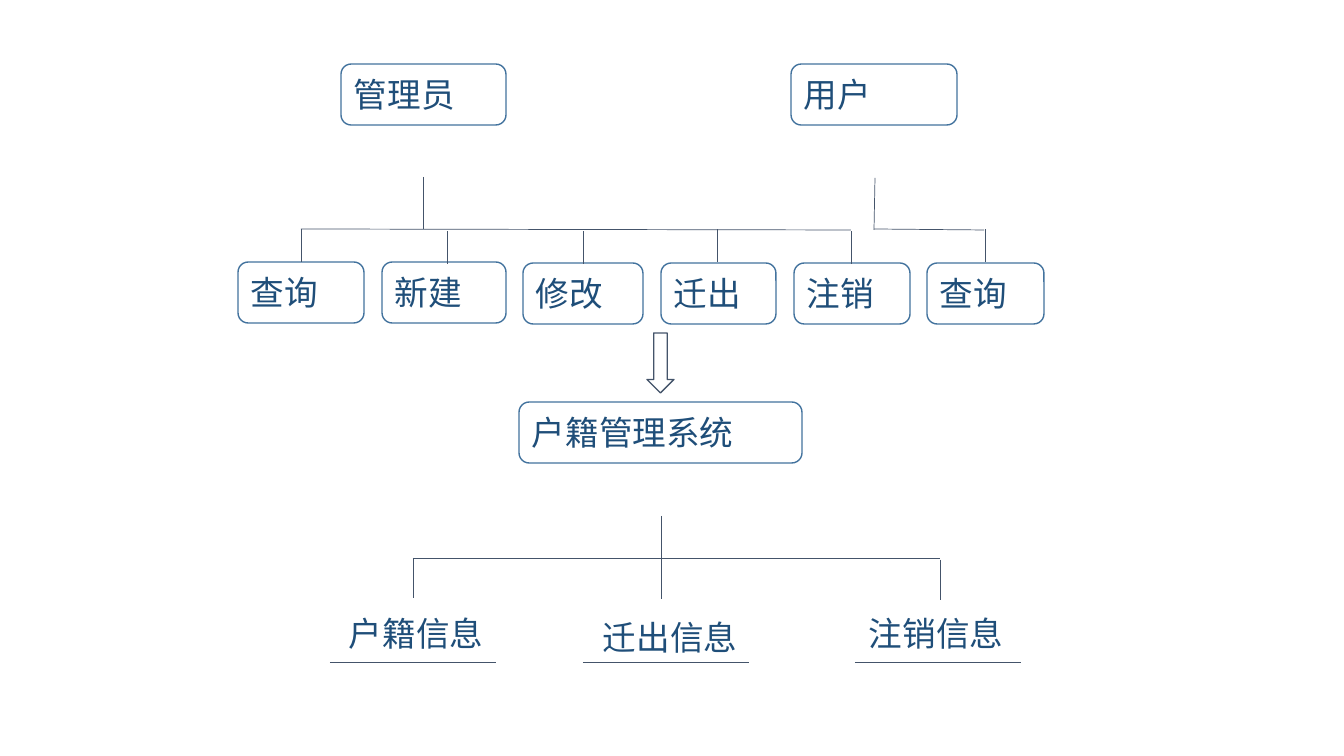
import pptx
import pptx.util
import pptx.dml.color
import pptx.enum.shapes
import pptx.enum.text
from pptx.oxml.ns import qn
from lxml import etree

SCALE = 914400 / 100.8
FONT = "Noto Sans CJK SC"
COLORS = {"text": "1F4E79", "box": "43739E", "line": "44546A", "white": "FFFFFF"}
RGB = {name: pptx.dml.color.RGBColor.from_string(c) for name, c in COLORS.items()}
SHAPE = pptx.enum.shapes.MSO_SHAPE

prs = pptx.Presentation()
prs.slide_width = pptx.util.Inches(13.333)
prs.slide_height = pptx.util.Inches(7.5)
s = prs.slides.add_slide(prs.slide_layouts[6])


def px(*values):
    return [pptx.util.Emu(round(v * SCALE)) for v in values]


def write(sp, text, anchor):
    tf = sp.text_frame
    tf.word_wrap = True
    tf.vertical_anchor = anchor
    p = tf.paragraphs[0]
    p.alignment = pptx.enum.text.PP_ALIGN.JUSTIFY
    r = p.add_run()
    r.text = text
    r.font.size = pptx.util.Pt(24)
    r.font.color.rgb = RGB["text"]
    r.font.name = FONT
    etree.SubElement(r.font._element, qn("a:ea")).set("typeface", FONT)


# Boxes: roles, operations, system
boxes = [
    ("户籍管理系统", 519, 402, 283),
    ("用户", 791, 64, 166),
    ("管理员", 341, 64, 165),
    ("查询", 238, 262, 126),
    ("新建", 382, 262, 124),
    ("修改", 523, 263, 120),
    ("迁出", 661, 263, 115),
    ("注销", 794, 263, 116),
    ("查询", 927, 263, 117),
]
for text, x, y, w in boxes:
    sp = s.shapes.add_shape(SHAPE.ROUNDED_RECTANGLE, *px(x, y, w, 61))
    sp.shadow.inherit = False
    sp.fill.background()
    sp.line.color.rgb = RGB["box"]
    sp.line.width = pptx.util.Pt(1)
    write(sp, text, pptx.enum.text.MSO_ANCHOR.MIDDLE)

# Captions of the stored information
for text, x, y, w in [("户籍信息", 339, 608, 169),
                      ("迁出信息", 593, 612, 195),
                      ("注销信息", 859, 608, 177)]:
    sp = s.shapes.add_textbox(*px(x, y, w, 50))
    write(sp, text, pptx.enum.text.MSO_ANCHOR.TOP)
    sp.text_frame.auto_size = pptx.enum.text.MSO_AUTO_SIZE.SHAPE_TO_FIT_TEXT

# Tree lines: operation stems, role branches, system branches, underlines
lines = [(x, y, x, y - 33) for x, y in
         [(301, 262), (447, 264), (583, 264), (717, 262), (851, 264), (985, 262)]]
lines += [(301, 229, 851, 230), (423, 177, 423, 229),
          (874, 230, 875, 178), (874, 229, 984, 230)]
lines += [(661, 516, 661, 558), (413, 558, 940, 558)]
lines += [(x, y, x, y + 40) for x, y in [(413, 558), (661, 559), (940, 560)]]
lines += [(x, 662, x + 166, 662) for x in (330, 583, 855)]
for ends in lines:
    ln = s.shapes.add_connector(pptx.enum.shapes.MSO_CONNECTOR.STRAIGHT, *px(*ends))
    ln.line.color.rgb = RGB["line"]
    ln.line.width = pptx.util.Pt(0.5)
    etree.SubElement(ln._element.spPr, qn("a:effectLst"))

# Arrow from operations to system
sp = s.shapes.add_shape(SHAPE.DOWN_ARROW, *px(647, 333, 27, 60))
sp.shadow.inherit = False
sp.fill.solid()
sp.fill.fore_color.rgb = RGB["white"]
sp.line.color.rgb = RGB["line"]
sp.line.width = pptx.util.Pt(1)

prs.save("out.pptx")
